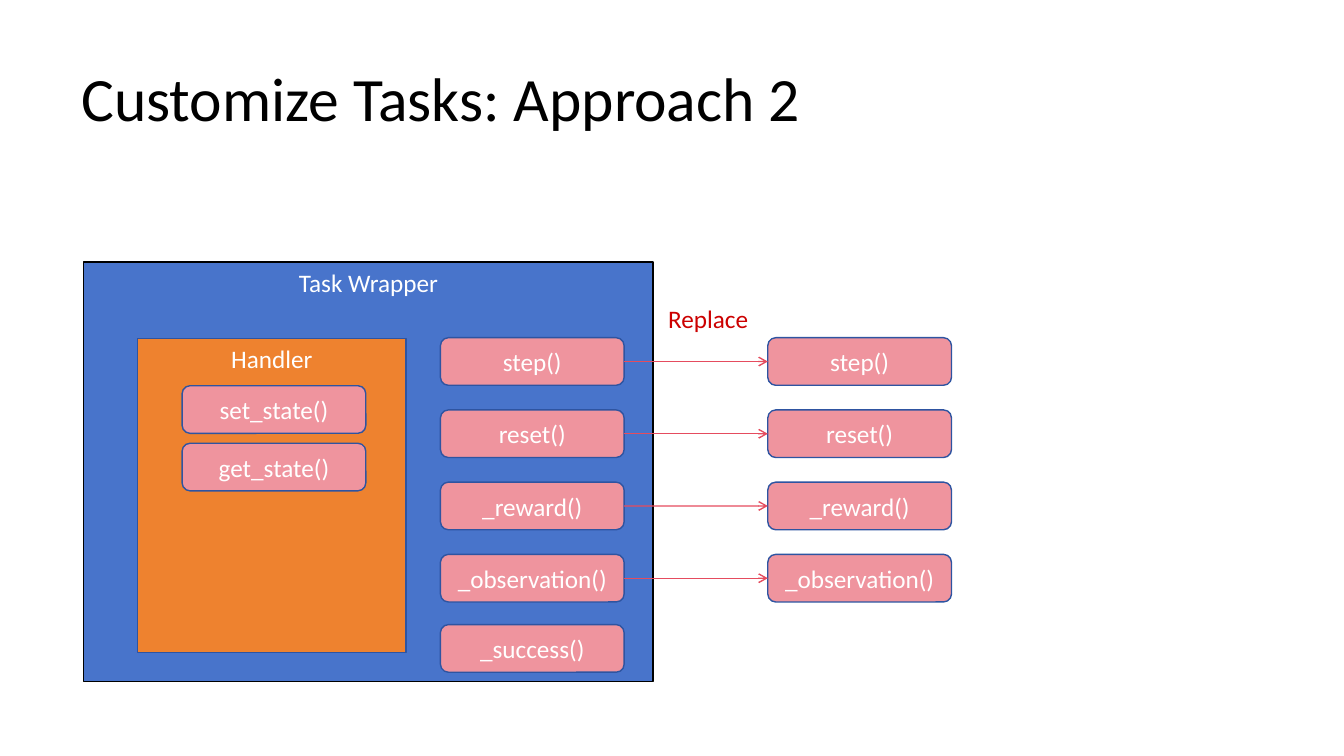
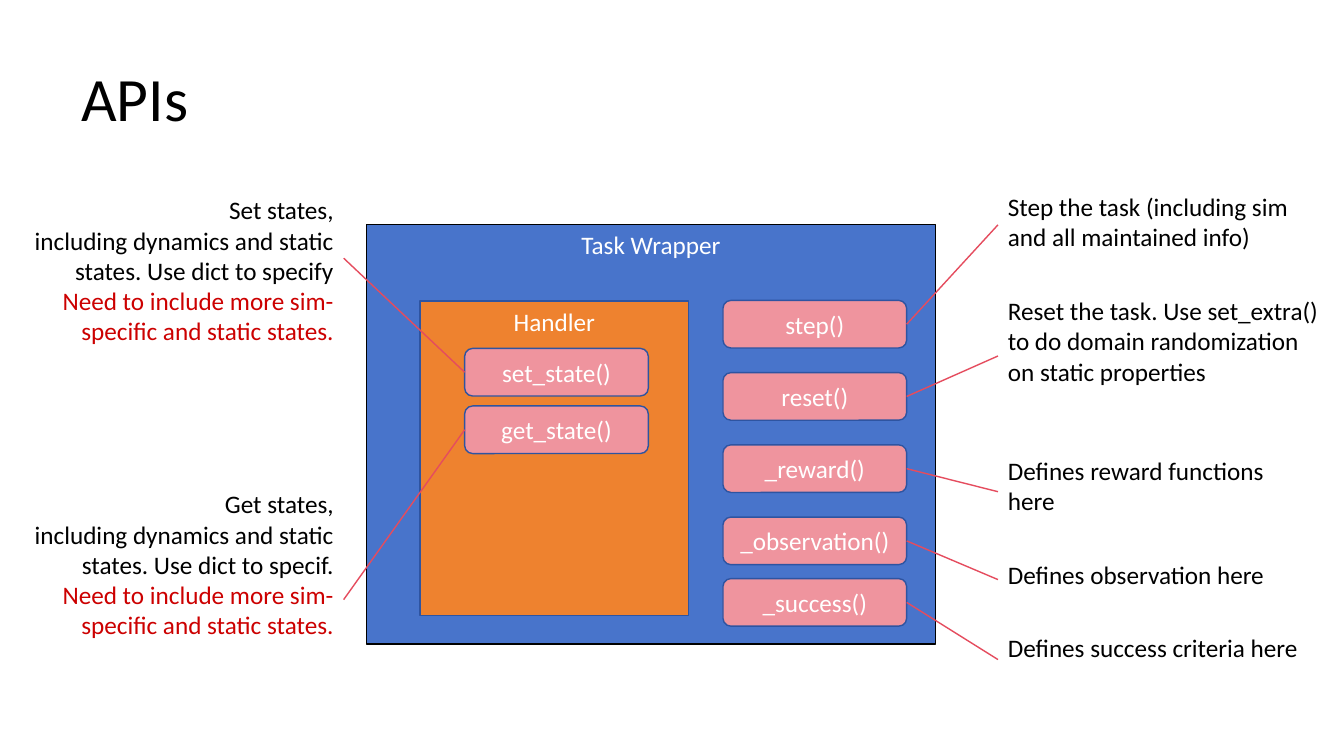
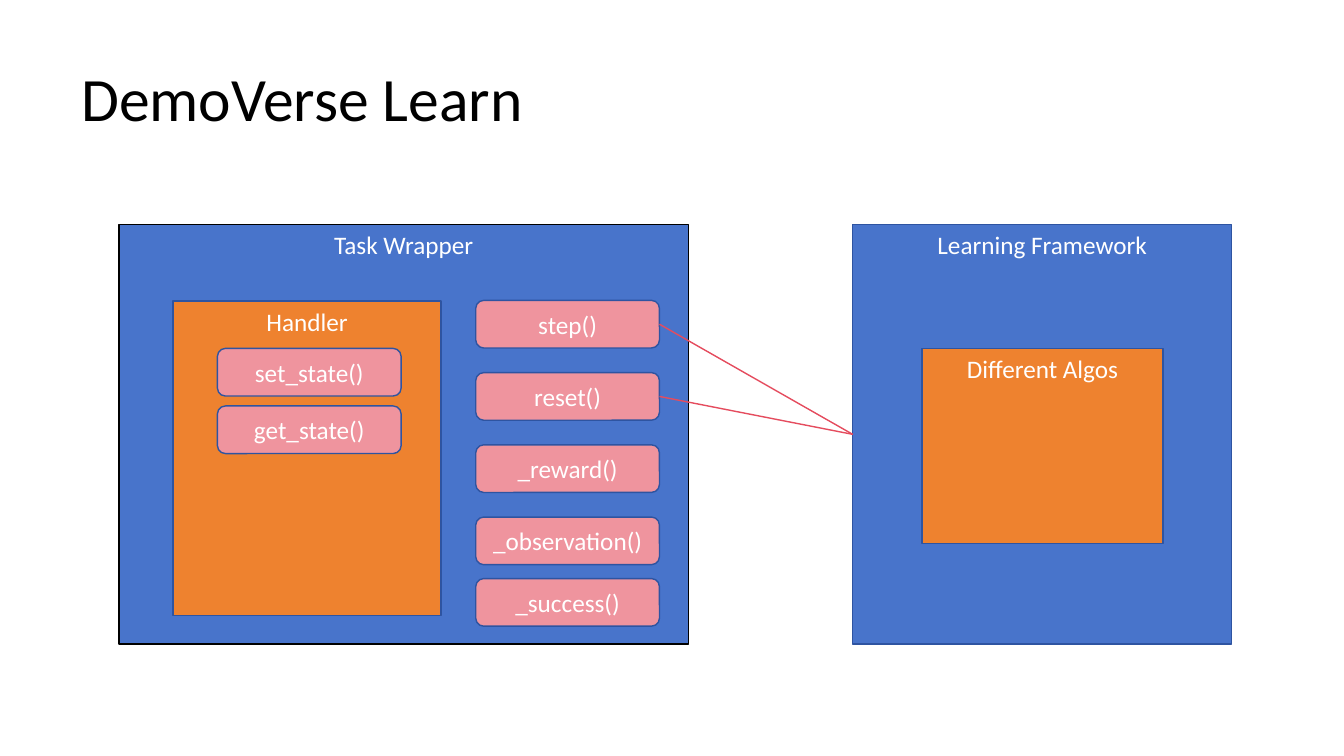
from lxml.etree import SubElement
from pptx import Presentation
from pptx.dml.color import RGBColor
from pptx.enum.shapes import MSO_CONNECTOR, MSO_SHAPE
from pptx.enum.text import MSO_ANCHOR, PP_ALIGN
from pptx.oxml.ns import qn
from pptx.util import Cm, Pt

BLUE, ORANGE, PINK = "4874CB", "EE822F", "EF949E"
NAVY, CORAL, RED, BLACK, WHITE = "2E54A1", "E54C5E", "CC0000", "000000", "FFFFFF"
RECT, ROUND = MSO_SHAPE.RECTANGLE, MSO_SHAPE.ROUNDED_RECTANGLE
TOP, MIDDLE = MSO_ANCHOR.TOP, MSO_ANCHOR.MIDDLE
LEFT, CENTER, RIGHT = PP_ALIGN.LEFT, PP_ALIGN.CENTER, PP_ALIGN.RIGHT
LEFT_SIDE, RIGHT_SIDE = 1, 3

BODY = {"name": "Calibri", "size": Pt(18)}
TITLE = {"name": "Calibri", "size": Pt(44)}
BUTTON_W, BUTTON_H = 4.63, 1.2
METHOD_STEP = 1.82


def box(s, at, paras, kind=None, fill=None, line=NAVY, anchor=TOP, align=LEFT, font=BODY):
    at = [Cm(v) for v in at]
    if kind is None:
        sp = s.shapes.add_textbox(*at)
    else:
        sp = s.shapes.add_shape(kind, *at)
        sp.shadow.inherit = False
        sp.fill.solid()
        sp.fill.fore_color.rgb = RGBColor.from_string(fill)
        sp.line.color.rgb = RGBColor.from_string(line)
        sp.line.width = Pt(1)
    tf = sp.text_frame
    tf.word_wrap = True
    tf.vertical_anchor = anchor
    for i, (text, color) in enumerate(paras):
        p = tf.add_paragraph() if i else tf.paragraphs[0]
        p.alignment = align
        r = p.add_run()
        r.text = text
        r.font.color.rgb = RGBColor.from_string(color)
        for key, value in font.items():
            setattr(r.font, key, value)
    return sp


def link(s, start, start_side, end, end_side, arrow=False):
    c = s.shapes.add_connector(MSO_CONNECTOR.STRAIGHT, 0, 0, 0, 0)
    c.begin_connect(start, start_side)
    c.end_connect(end, end_side)
    c.line.color.rgb = RGBColor.from_string(CORAL)
    c.line.width = Pt(1)
    if arrow:
        SubElement(c.line._get_or_add_ln(), qn("a:tailEnd"), type="arrow")
    SubElement(c._element.spPr, qn("a:effectLst"))


prs = Presentation()
prs.slide_width, prs.slide_height = Cm(33.87), Cm(19.05)

METHODS = ["step()", "reset()", "_reward()", "_observation()", "_success()"]
button = {"kind": ROUND, "fill": PINK, "anchor": MIDDLE, "align": CENTER}
panel = {"kind": RECT, "align": CENTER}

slides = []
for title, x, y, success_y in [
    ("Customize Tasks: Approach 2", 2.11, 6.6, 9.14),
    ("APIs", 9.23, 5.66, 8.92),
    ("DemoVerse Learn", 3, 5.66, 8.92),
]:
    s = prs.slides.add_slide(prs.slide_layouts[6])
    heading = box(s, (1.8, 0.71, 29.21, 3.68), [(title, BLACK)], anchor=MIDDLE, font=TITLE)
    heading.text_frame.paragraphs[0].line_spacing = 0.9
    box(s, (x, y, 14.35, 10.57), [("Task Wrapper", WHITE)], fill=BLUE, line=BLACK, **panel)
    box(s, (x + 1.36, y + 1.93, 6.76, 7.92), [("Handler", WHITE)], fill=ORANGE, **panel)
    buttons = {}
    for i, name in enumerate(["set_state()", "get_state()"]):
        at = (x + 2.48, y + 3.12 + i * 1.45, BUTTON_W, BUTTON_H)
        buttons[name] = box(s, at, [(name, WHITE)], **button)
    for i, name in enumerate(METHODS):
        dy = success_y if name == "_success()" else 1.91 + i * METHOD_STEP
        at = (x + 8.99, y + dy, BUTTON_W, BUTTON_H)
        buttons[name] = box(s, at, [(name, WHITE)], **button)
    slides.append((s, buttons))

s, buttons = slides[0]
for i, name in enumerate(METHODS[:4]):
    at = (19.35, 8.51 + i * METHOD_STEP, BUTTON_W, BUTTON_H)
    replacement = box(s, at, [(name, WHITE)], **button)
    link(s, buttons[name], RIGHT_SIDE, replacement, LEFT_SIDE, arrow=True)
box(s, (16.59, 7.52, 11.28, 1.02), [("Replace", RED)])

s, buttons = slides[1]
for name, verb, ending, y, h in [
    ("set_state()", "Set", "specify", 4.78, 3.45),
    ("get_state()", "Get", "specif.", 12.19, 5.84),
]:
    paras = [
        (f"{verb} states,", BLACK),
        (f"including dynamics and static states. Use dict to {ending}", BLACK),
        ("Need to include more sim-specific and static states.", RED),
    ]
    note = box(s, (0.58, y, 8.08, h), paras, align=RIGHT)
    link(s, note, RIGHT_SIDE, buttons[name], LEFT_SIDE)
for name, text, y, w, h in [
    ("step()", "Step the task (including sim and all maintained info)", 4.7, 8.46, 1.93),
    ("reset()", "Reset the task. Use set_extra() to do domain randomization on static properties",
     7.32, 8.41, 3.3),
    ("_reward()", "Defines reward functions here", 11.35, 8.08, 2.08),
    ("_observation()", "Defines observation here", 13.97, 8.08, 1.27),
    ("_success()", "Defines success criteria here", 15.82, 8.08, 1.6),
]:
    note = box(s, (25.15, y, w, h), [(text, BLACK)])
    link(s, buttons[name], RIGHT_SIDE, note, LEFT_SIDE)

s, buttons = slides[2]
framework = box(s, (21.49, 5.66, 9.55, 10.57), [("Learning Framework", WHITE)], fill=BLUE, **panel)
box(s, (23.24, 8.79, 6.07, 4.9), [("Different Algos", WHITE)], fill=ORANGE, **panel)
for name in METHODS[:2]:
    link(s, framework, LEFT_SIDE, buttons[name], RIGHT_SIDE)

prs.save("out.pptx")
